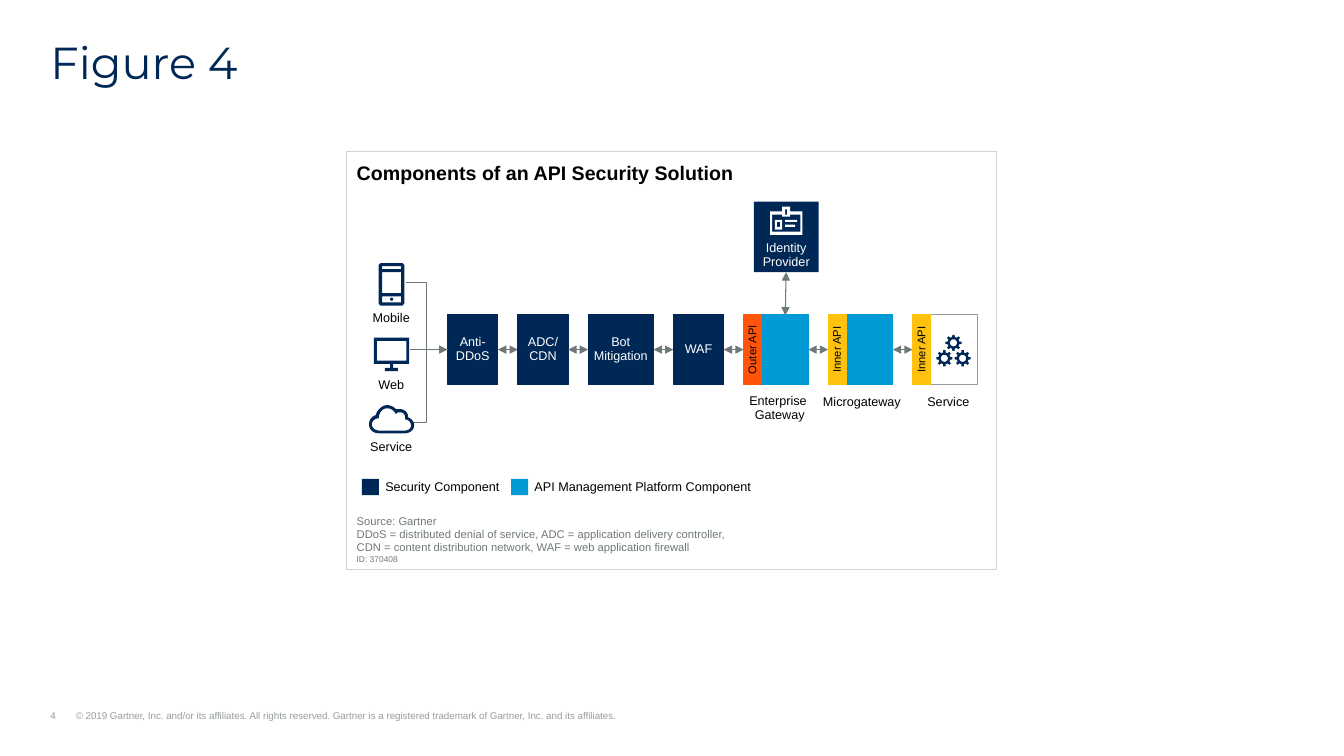
import math
import pptx
import pptx.util
import pptx.dml.color
import pptx.enum.shapes
import pptx.enum.text
import pptx.oxml
import pptx.oxml.ns

Cm, Pt = pptx.util.Cm, pptx.util.Pt
ALIGN = pptx.enum.text.PP_ALIGN
ANCHOR = pptx.enum.text.MSO_ANCHOR
CONNECTOR = pptx.enum.shapes.MSO_CONNECTOR

COLORS = {
    "navy": "002856", "blue": "009AD7", "yellow": "FEC10D", "orange": "FF540A",
    "white": "FFFFFF", "black": "000000", "border": "D3D3D3", "gray": "6F7878", "light": "979D9D",
}
FOOTER = "4\t© 2019 Gartner, Inc. and/or its affiliates. All rights reserved. Gartner is a registered trademark of Gartner, Inc. and its affiliates."
SOURCE = [
    ("Source: Gartner\nDDoS = distributed denial of service, ADC = application delivery controller, "
     "CDN = content distribution network, WAF = web application firewall", 8),
    ("ID: 370408", 6),
]
SECURITY = [("Anti-\nDDoS", 1.27), ("ADC/\nCDN", 1.27), ("Bot\nMitigation", 1.65), ("WAF", 1.27)]
GATEWAYS = [
    ("Outer API", "orange", "blue", "blue"),
    ("Inner API", "yellow", "blue", "blue"),
    ("Inner API", "yellow", "white", "light"),
]
CAPTIONS = [
    ("Mobile", 9.86, 7.72, 0.48), ("Web", 9.86, 9.42, 0.48), ("Service", 9.86, 10.97, 0.48),
    ("Enterprise \nGateway", 19.65, 9.83, 0.81),
    ("Microgateway", 21.72, 9.83, 0.48), ("Service", 23.9, 9.83, 0.48),
]
LEGEND = [("Security Component", "navy", 9.12), ("API Management Platform Component", "blue", 12.88)]
CHAIN_LEFT, CHAIN_TOP, CHAIN_HEIGHT, GAP = 11.28, 7.92, 1.78, 0.5
TAB_WIDTH, BLOCK_WIDTH = 0.46, 1.17
MIDDLE = CHAIN_TOP + CHAIN_HEIGHT / 2
DEVICE_LINES = [(10.34, MIDDLE, None, False), (10.24, 7.11, 50000, False), (10.39, 10.64, 40300, True)]


def rectangle(left, top, right, bottom):
    return [(left, top), (right, top), (right, bottom), (left, bottom)]


def circle(x, y, radius, count=16):
    return [(x + radius * math.cos(math.tau * i / count), y + radius * math.sin(math.tau * i / count))
            for i in range(count)]


def gear(x, y):
    corners = [(-13, 0.15), (-8, 0.205), (8, 0.205), (13, 0.15)]
    return [(x + radius * math.cos(math.radians(45 * tooth + turn)),
             y + radius * math.sin(math.radians(45 * tooth + turn)))
            for tooth in range(8) for turn, radius in corners]


def curve(start, *steps):
    points = [start]
    for step in steps:
        if len(step) == 2:
            points.append(step)
            continue
        controls = [points[-1], step[:2], step[2:4], step[4:]]
        for t in (i / 8 for i in range(1, 9)):
            weights = [(1 - t) ** 3, 3 * t * (1 - t) ** 2, 3 * t * t * (1 - t), t ** 3]
            points.append(tuple(sum(w * c[axis] for w, c in zip(weights, controls)) for axis in (0, 1)))
    return points


PHONE = [
    [(9.59, 6.63), (10.14, 6.63), (10.19, 6.68), (10.19, 7.65),
     (10.14, 7.7), (9.59, 7.7), (9.54, 7.65), (9.54, 6.68)],
    rectangle(9.63, 6.71, 10.11, 6.78), rectangle(9.63, 6.86, 10.11, 7.39),
    rectangle(9.63, 7.47, 10.11, 7.62), circle(9.87, 7.54, 0.04),
]
MONITOR = [
    [(10.31, 9.17), (10.31, 8.51), (9.42, 8.51), (9.42, 9.17), (9.83, 9.17), (9.83, 9.27), (9.7, 9.27),
     (9.7, 9.35), (10.03, 9.35), (10.03, 9.27), (9.91, 9.27), (9.91, 9.17)],
    rectangle(9.5, 8.59, 10.24, 9.09),
]
CLOUD = [
    curve((10.29, 10.52), (10.29, 10.39, 10.19, 10.31, 10.08, 10.31), (10.06, 10.31, 10.03, 10.31, 9.98, 10.31),
          (9.93, 10.26, 9.86, 10.21, 9.75, 10.21), (9.63, 10.21, 9.5, 10.34, 9.47, 10.46),
          (9.37, 10.49, 9.3, 10.59, 9.3, 10.69), (9.3, 10.82, 9.4, 10.92, 9.55, 10.92), (10.21, 10.92),
          (10.34, 10.92, 10.44, 10.82, 10.44, 10.72), (10.44, 10.62, 10.36, 10.54, 10.29, 10.52)),
    curve((10.21, 10.85), (9.55, 10.85), (9.45, 10.85, 9.37, 10.77, 9.37, 10.69),
          (9.37, 10.62, 9.45, 10.54, 9.55, 10.54), (9.55, 10.52), (9.55, 10.39, 9.65, 10.29, 9.75, 10.29),
          (9.86, 10.29, 9.93, 10.34, 9.98, 10.44), (10.01, 10.39, 10.03, 10.39, 10.08, 10.39),
          (10.16, 10.39, 10.21, 10.44, 10.21, 10.52), (10.21, 10.57),
          (10.29, 10.57, 10.36, 10.64, 10.36, 10.72), (10.36, 10.8, 10.29, 10.85, 10.21, 10.85)),
]
BADGE = [
    [(20.22, 5.33), (20.22, 5.92), (19.41, 5.92), (19.41, 5.33),
     (19.71, 5.33), (19.71, 5.21), (19.91, 5.21), (19.91, 5.33)],
    [(20.17, 5.41), (19.91, 5.41), (19.91, 5.46), (19.71, 5.46),
     (19.71, 5.41), (19.46, 5.41), (19.46, 5.84), (20.17, 5.84)],
    rectangle(19.79, 5.28, 19.84, 5.41), rectangle(19.79, 5.54, 20.09, 5.59),
    rectangle(19.79, 5.66, 20.04, 5.72), rectangle(19.53, 5.54, 19.71, 5.79),
    rectangle(19.58, 5.59, 19.66, 5.72),
]
GEARS = [outline for x, y in [(24.03, 8.64), (23.8, 9.03), (24.26, 9.03)]
         for outline in (gear(x, y), circle(x, y, 0.09))]

presentation = pptx.Presentation()
presentation.slide_width, presentation.slide_height = Cm(33.87), Cm(19.05)
slide = presentation.slides.add_slide(presentation.slide_layouts[5])


def rgb(name):
    return pptx.dml.color.RGBColor.from_string(COLORS[name])


def apply(target, values):
    for name, value in values.items():
        setattr(target, name, value)


def write(shape, paragraphs, color, margins=(0, 0, 0, 0), anchor=ANCHOR.MIDDLE, align=ALIGN.CENTER,
          wrap=False, spacing=0.9, bold=False, font="Arial"):
    frame = shape.text_frame
    sides = ("margin_left", "margin_top", "margin_right", "margin_bottom")
    apply(frame, {"word_wrap": wrap, "auto_size": pptx.enum.text.MSO_AUTO_SIZE.NONE, "vertical_anchor": anchor,
                  **{side: Cm(margin) for side, margin in zip(sides, margins)}})
    for index, (text, size) in enumerate(paragraphs):
        paragraph = frame.add_paragraph() if index else frame.paragraphs[0]
        paragraph.text = text
        apply(paragraph, {"alignment": align, "line_spacing": spacing})
        for run in paragraph.runs:
            apply(run.font, {"size": Pt(size), "name": font, "bold": bold})
            run.font.color.rgb = rgb(color)


def add_text(left, top, width, height, paragraphs, color, **options):
    box = slide.shapes.add_textbox(Cm(left), Cm(top), Cm(width), Cm(height))
    write(box, paragraphs, color, **options)
    return box


def paint(shape, fill, line=None, width=0.75):
    shape.shadow.inherit = False
    shape.fill.solid()
    shape.fill.fore_color.rgb = rgb(fill)
    if line:
        shape.line.color.rgb = rgb(line)
        shape.line.width = Pt(width)
    else:
        shape.line.fill.background()


def add_box(left, top, width, height, fill, line=None, line_width=0.75):
    box = slide.shapes.add_shape(pptx.enum.shapes.MSO_SHAPE.RECTANGLE, Cm(left), Cm(top), Cm(width), Cm(height))
    paint(box, fill, line, line_width)
    return box


def add_icon(outlines, fill):
    first, *others = [[(Cm(x), Cm(y)) for x, y in outline] for outline in outlines]
    builder = slide.shapes.build_freeform(*first[0])
    builder.add_line_segments(first[1:])
    for outline in others:
        builder.move_to(*outline[0])
        builder.add_line_segments(outline[1:])
    paint(builder.convert_to_shape(), fill)


def add_line(x1, y1, x2, y2, ends=("headEnd", "tailEnd"), bend=None):
    kind = CONNECTOR.ELBOW if bend else CONNECTOR.STRAIGHT
    connector = slide.shapes.add_connector(kind, Cm(x1), Cm(y1), Cm(x2), Cm(y2))
    connector.line.color.rgb = rgb("gray")
    connector.line.width = Pt(0.75)
    properties, qn = connector.element.spPr, pptx.oxml.ns.qn
    for end in ends:
        properties.find(qn("a:ln")).append(
            pptx.oxml.parse_xml(f'<a:{end} {pptx.oxml.ns.nsdecls("a")} type="triangle"/>'))
    if bend:
        properties.find(qn("a:prstGeom")).find(qn("a:avLst")).append(pptx.oxml.parse_xml(
            f'<a:gd {pptx.oxml.ns.nsdecls("a")} name="adj1" fmla="val {bend}"/>'))
    properties.append(pptx.oxml.parse_xml(f'<a:effectLst {pptx.oxml.ns.nsdecls("a")}/>'))


title = slide.shapes.title
apply(title, {"left": Cm(1.27), "top": Cm(1.02), "width": Cm(31.32), "height": Cm(1.22)})
write(title, [("Figure 4", 32)], "navy", anchor=ANCHOR.TOP, align=ALIGN.LEFT, wrap=True, font="Montserrat")

footer = add_text(1.27, 17.88, 20.29, 0.3, [(FOOTER, 7)], "light", anchor=ANCHOR.BOTTOM,
                  align=ALIGN.LEFT, wrap=True, spacing=1.0)
footer_format = footer.text_frame.paragraphs[0]._p.get_or_add_pPr()
footer_format.set("marL", str(Cm(0.64)))
footer_format.set("indent", str(-Cm(0.64)))
footer_format.append(pptx.oxml.parse_xml(
    f'<a:tabLst {pptx.oxml.ns.nsdecls("a")}><a:tab pos="{Cm(0.64)}" algn="l"/></a:tabLst>'))

add_box(8.74, 3.81, 16.38, 10.54, "white", "border", 0.5)
plain = {"align": ALIGN.LEFT, "wrap": True, "spacing": 1.0}
add_text(8.74, 12.8, 10.01, 1.55, SOURCE, "gray", margins=(0.25, 0.13, 0.25, 0.13), anchor=ANCHOR.BOTTOM, **plain)
add_text(8.74, 3.81, 11.86, 0.99, [("Components of an API Security Solution", 14)], "black",
         margins=(0.25, 0.25, 0.25, 0.13), anchor=ANCHOR.TOP, bold=True, **plain)

left = CHAIN_LEFT
for text, width in SECURITY:
    box = add_box(left, CHAIN_TOP, width, CHAIN_HEIGHT, "navy", "navy")
    write(box, [(text, 9)], "white", margins=(0, 0.08, 0, 0.08))
    add_line(left + width, MIDDLE, left + width + GAP, MIDDLE)
    left += width + GAP
for index, (text, tab_color, fill, line) in enumerate(GATEWAYS):
    if index:
        add_line(left - GAP, MIDDLE, left, MIDDLE)
    add_box(left + TAB_WIDTH, CHAIN_TOP, BLOCK_WIDTH, CHAIN_HEIGHT, fill, line)
    tab = add_box(left, CHAIN_TOP, TAB_WIDTH, CHAIN_HEIGHT, tab_color, tab_color)
    write(tab, [(text, 8)], "black", margins=(0.15, 0.08, 0.15, 0.08))
    tab.element.txBody.bodyPr.set("vert", "vert270")
    left += TAB_WIDTH + BLOCK_WIDTH + GAP

identity = add_box(19, 5.08, 1.63, 1.78, "navy")
write(identity, [("Identity\nProvider", 9)], "white", margins=(0, 0.08, 0, 0.08), anchor=ANCHOR.BOTTOM)
add_line(19.81, 6.86, 19.79, 7.95)
for x, y, bend, arrow in DEVICE_LINES:
    add_line(x, y, CHAIN_LEFT, MIDDLE, ("tailEnd",) if arrow else (), bend)
for outlines, color in [(PHONE, "navy"), (MONITOR, "navy"), (CLOUD, "navy"), (BADGE, "white"), (GEARS, "navy")]:
    add_icon(outlines, color)
for text, center, top, height in CAPTIONS:
    add_text(center - 1, top, 2, height, [(text, 9)], "black", margins=(0, 0.13, 0, 0))
for text, color, left in LEGEND:
    add_box(left, 12.07, 0.43, 0.41, color)
    add_text(left + 0.34, 11.94, 6.02, 0.64, [(text, 9)], "black",
             margins=(0.25, 0.13, 0.25, 0.13), anchor=ANCHOR.TOP, **plain)

presentation.save("out.pptx")
